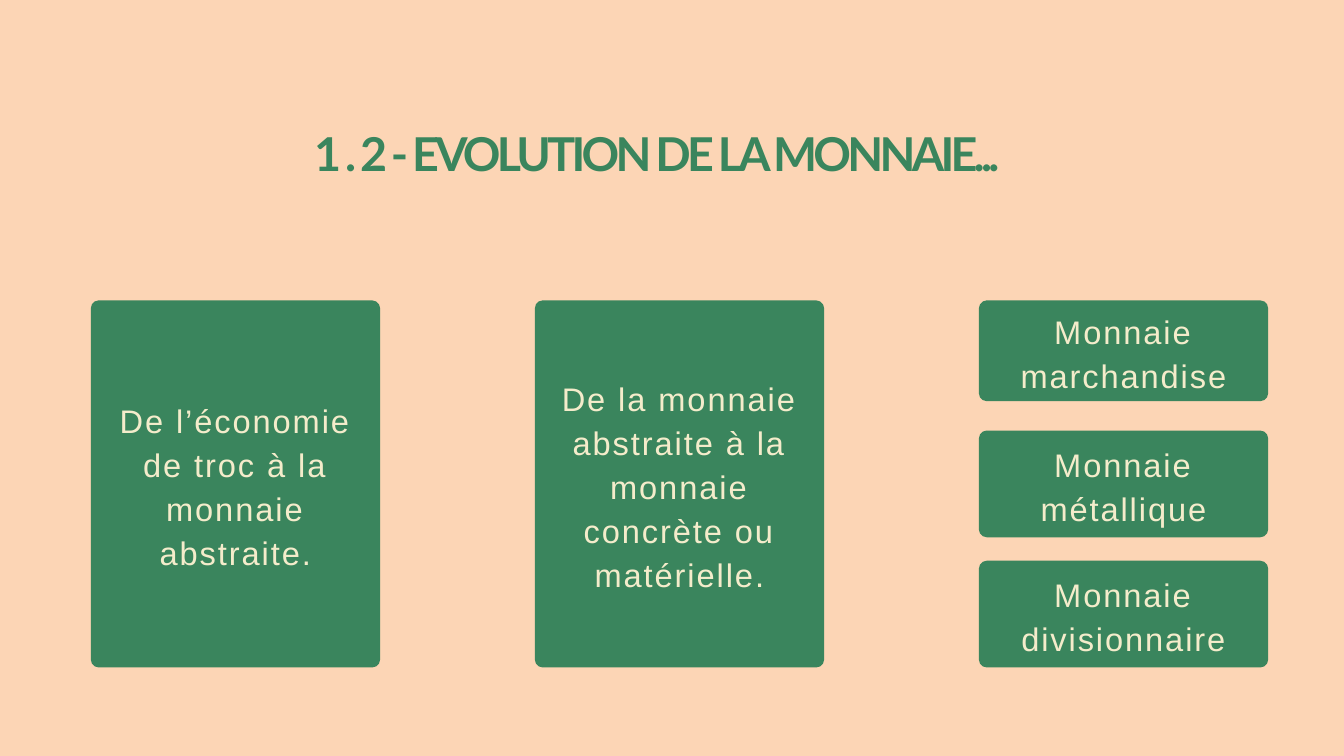
from pptx import Presentation
from pptx.dml.color import RGBColor
from pptx.enum.shapes import MSO_SHAPE
from pptx.enum.text import MSO_ANCHOR, MSO_AUTO_SIZE, PP_ALIGN
from pptx.util import Cm, Pt

ROUNDED = MSO_SHAPE.ROUNDED_RECTANGLE
TOP, MIDDLE = MSO_ANCHOR.TOP, MSO_ANCHOR.MIDDLE
NO_AUTOFIT = MSO_AUTO_SIZE.NONE
CENTER = PP_ALIGN.CENTER

PEACH = RGBColor(0xFC, 0xD5, 0xB5)
GREEN = RGBColor(0x3A, 0x85, 0x5D)
CREAM = RGBColor(0xF4, 0xEC, 0xCB)

TITLE_FONT = {"name": "Lato", "size": Pt(33.3), "bold": True}
CARD_FONT = {"name": "Arial", "size": Pt(23.3), "bold": False}


def write(shape, text, font_format, color, spacing, line_height, anchor, inset):
    frame = shape.text_frame
    frame_format = {
        "word_wrap": True, "auto_size": NO_AUTOFIT, "vertical_anchor": anchor,
        "margin_left": inset, "margin_right": inset,
        "margin_top": 0, "margin_bottom": 0,
    }
    for key, value in frame_format.items():
        setattr(frame, key, value)
    paragraph = frame.paragraphs[0]
    paragraph.alignment = CENTER
    paragraph.line_spacing = Pt(line_height)
    run = paragraph.add_run()
    run.text = text
    for key, value in font_format.items():
        setattr(run.font, key, value)
    run.font.color.rgb = color
    run._r.get_or_add_rPr().set("spc", str(spacing))


prs = Presentation()
prs.slide_width, prs.slide_height = Cm(33.87), Cm(19.05)
slide = prs.slides.add_slide(prs.slide_layouts[5])
slide.background.fill.solid()
slide.background.fill.fore_color.rgb = PEACH

title = slide.shapes.title
title_place = {"left": Cm(7.9), "top": Cm(3.43), "width": Cm(17.3), "height": Cm(2.29)}
for key, value in title_place.items():
    setattr(title, key, value)
write(title, "1 . 2 - EVOLUTION DE LA MONNAIE...", TITLE_FONT, GREEN, -270, 32, TOP, 0)

first_left, column_pitch, card_width = 2.29, 11.19, 7.29
first_top, row_pitch, corner = 7.57, 3.28, 0.2

cards = [
    (0, 0, 9.25, "De l’économie de troc à la monnaie abstraite."),
    (1, 0, 9.25, "De la monnaie abstraite à la monnaie concrète ou matérielle."),
    (2, 0, 2.54, "Monnaie marchandise"),
    (2, 1, 2.69, "Monnaie métallique"),
    (2, 2, 2.69, "Monnaie divisionnaire"),
]
for column, row, height, text in cards:
    card = slide.shapes.add_shape(
        ROUNDED,
        Cm(first_left + column * column_pitch), Cm(first_top + row * row_pitch),
        Cm(card_width), Cm(height),
    )
    card.adjustments[0] = corner / min(card_width, height)
    card.shadow.inherit = False
    card.fill.solid()
    card.fill.fore_color.rgb = GREEN
    card.line.fill.background()
    write(card, text, CARD_FONT, CREAM, 140, 31.4, MIDDLE, Cm(0.33))

prs.save("out.pptx")
